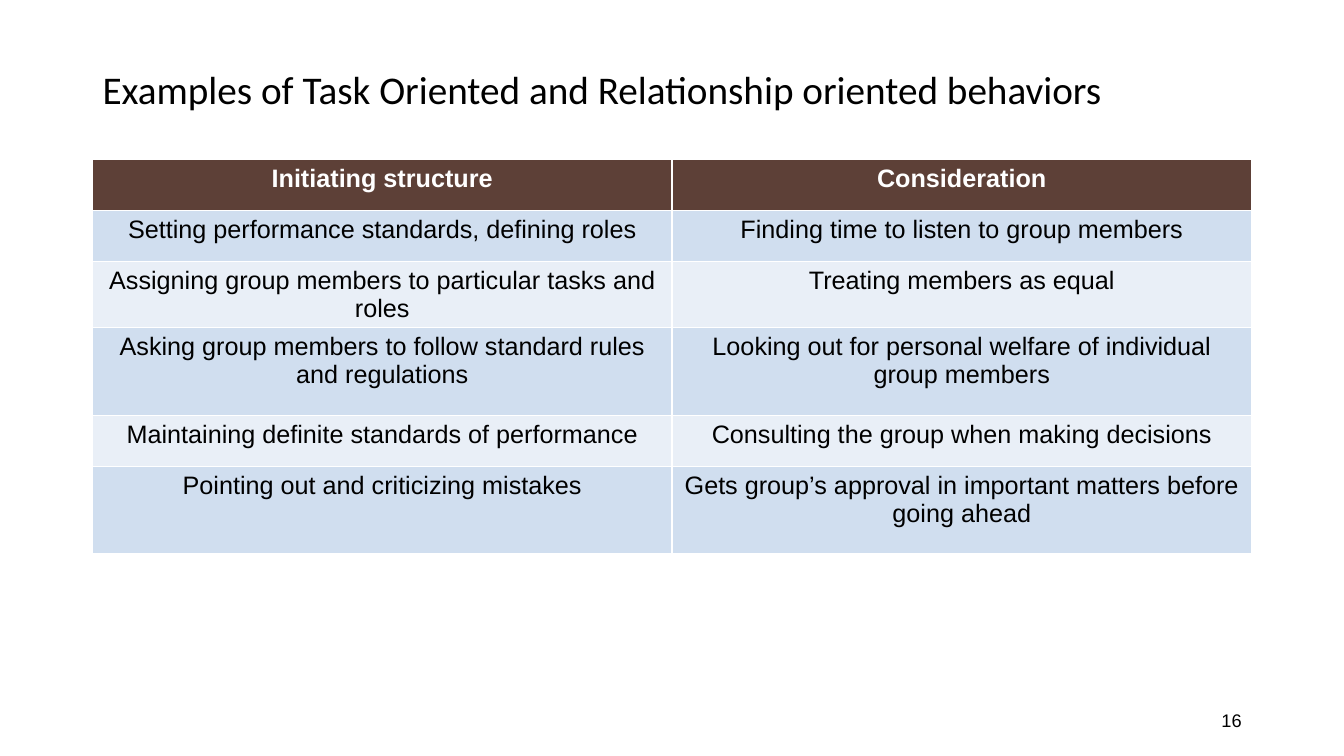
from pptx import Presentation
from pptx.dml.color import RGBColor
from pptx.enum.text import MSO_ANCHOR, PP_ALIGN
from pptx.util import Cm, Pt

BLACK = RGBColor(0x00, 0x00, 0x00)
WHITE = RGBColor(0xFF, 0xFF, 0xFF)
BROWN = RGBColor(0x5D, 0x40, 0x37)
BLUE = RGBColor(0xD0, 0xDE, 0xEF)
PALE = RGBColor(0xE9, 0xEF, 0xF7)

TITLE = "Examples of Task Oriented and Relationship oriented behaviors"
BEHAVIORS = [
    ("Initiating structure", "Consideration"),
    ("Setting performance standards, defining roles",
     "Finding time to listen to group members"),
    ("Assigning group members to particular tasks and roles",
     "Treating members as equal"),
    ("Asking group members to follow standard rules and regulations",
     "Looking out for personal welfare of individual group members"),
    ("Maintaining definite standards of performance",
     "Consulting the group when making decisions"),
    ("Pointing out and criticizing mistakes",
     "Gets group’s approval in important matters before going ahead"),
]
ROW_HEIGHTS = [1.28, 1.28, 1.28, 2.21, 1.28, 2.21]


def write(tf, text, size, font, color, align, bold=False):
    """Write one formatted run into the first paragraph of a text frame."""
    p = tf.paragraphs[0]
    p.alignment = align
    r = p.add_run()
    r.text = text
    r.font.size = Pt(size)
    r.font.name = font
    r.font.bold = bold
    r.font.color.rgb = color


def add_title(s, left, top, width, height):
    """Place the slide title in its placeholder."""
    sp = s.shapes.title
    sp.left, sp.top, sp.width, sp.height = left, top, width, height
    tf = sp.text_frame
    tf.word_wrap = True
    tf.vertical_anchor = MSO_ANCHOR.TOP
    write(tf, TITLE, 28, "Calibri", BLACK, PP_ALIGN.LEFT)


def add_behaviors(s, left, top, width):
    """Place the two-column table with a header and banded rows."""
    height = Cm(sum(ROW_HEIGHTS))
    table = s.shapes.add_table(len(BEHAVIORS), 2, left, top, width, height).table
    for i, (texts, row_height) in enumerate(zip(BEHAVIORS, ROW_HEIGHTS)):
        table.rows[i].height = Cm(row_height)
        header = i == 0
        fill = BROWN if header else BLUE if i % 2 else PALE
        for j, text in enumerate(texts):
            cell = table.cell(i, j)
            cell.fill.solid()
            cell.fill.fore_color.rgb = fill
            write(cell.text_frame, text, 18, "Arial",
                  WHITE if header else BLACK, PP_ALIGN.CENTER, header)


def add_page_number(s, left, top, width, height):
    """Place the page number at the right of its box."""
    tf = s.shapes.add_textbox(left, top, width, height).text_frame
    tf.word_wrap = True
    tf.vertical_anchor = MSO_ANCHOR.MIDDLE
    write(tf, "16", 13, "Arial", BLACK, PP_ALIGN.RIGHT)


def main():
    """Build the slide and save it."""
    prs = Presentation()
    prs.slide_width, prs.slide_height = Cm(33.87), Cm(19.05)
    s = prs.slides.add_slide(prs.slide_layouts[5])
    left, width = Cm(2.33), Cm(29.21)
    number_width = Cm(7.62)
    add_title(s, left, Cm(1.52), width, Cm(1.45))
    add_behaviors(s, left, Cm(4.02), width)
    add_page_number(s, left + width - number_width, Cm(17.65), number_width, Cm(1.02))
    prs.save("out.pptx")


if __name__ == "__main__":
    main()
